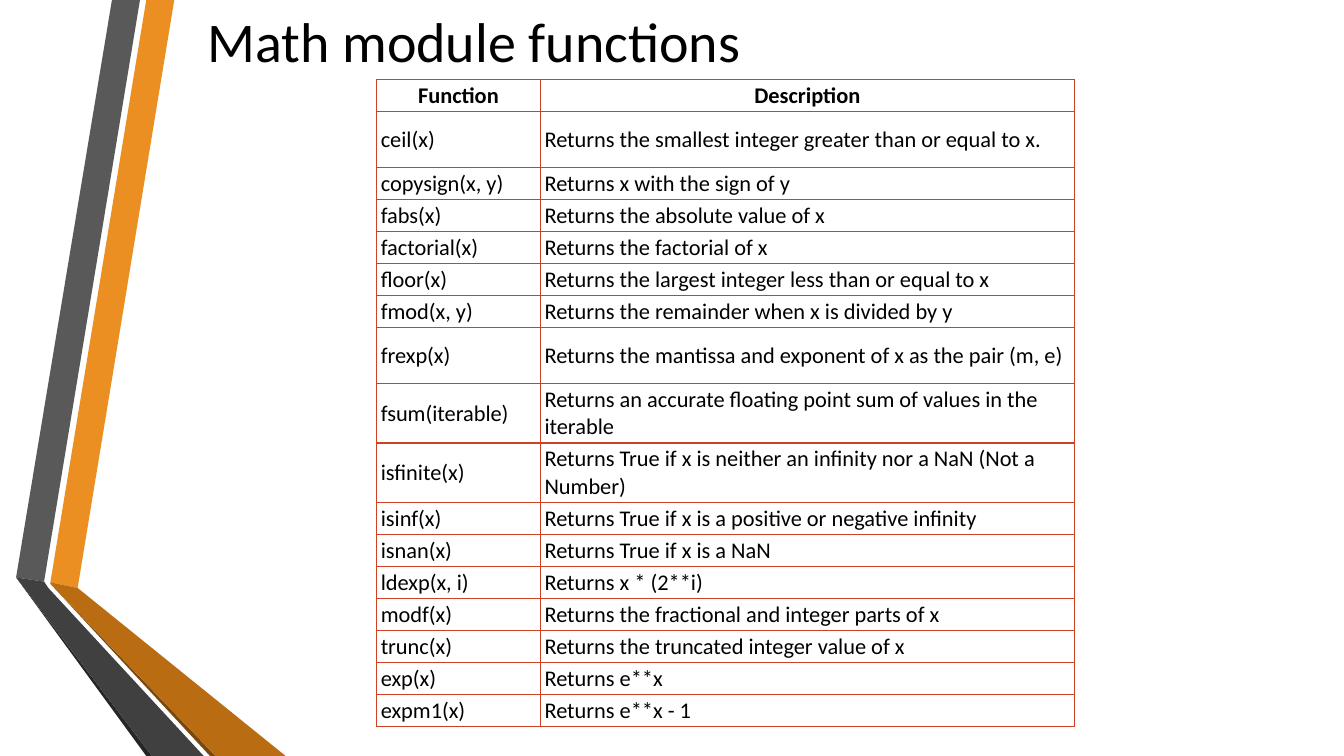
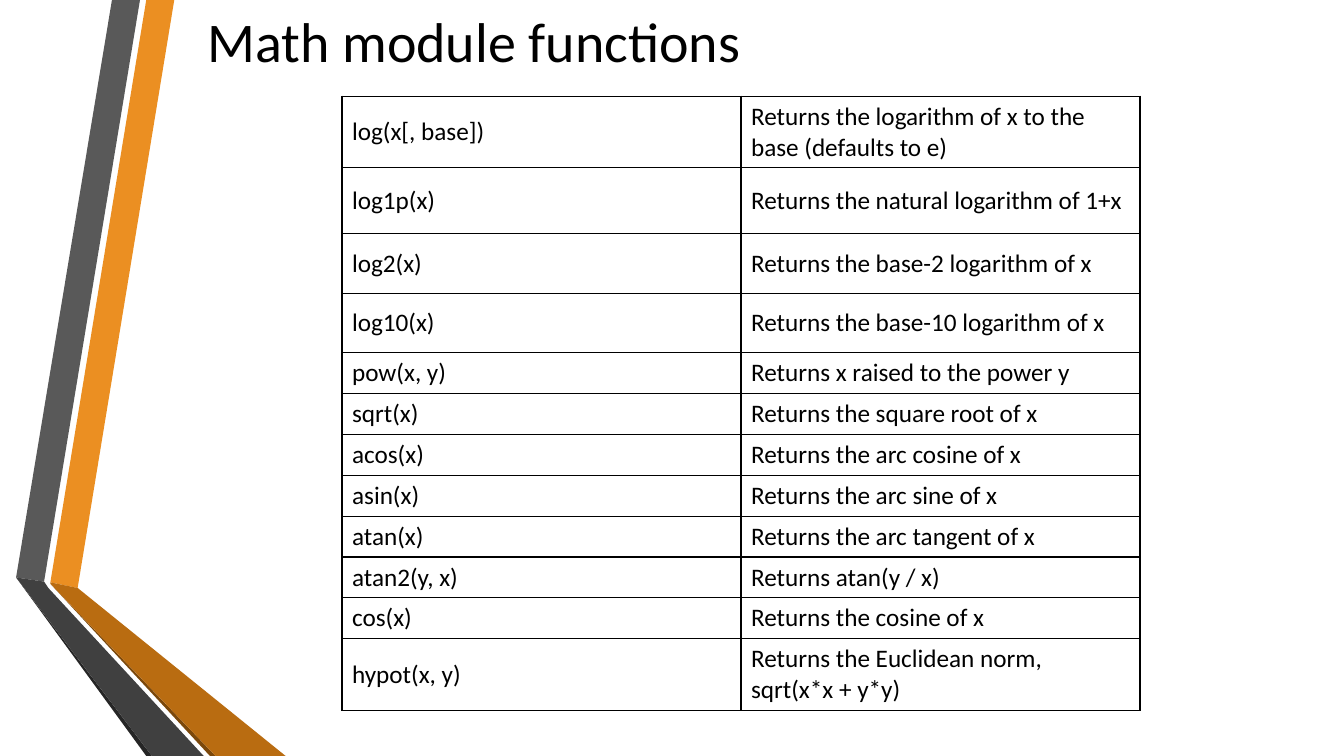
from pptx import Presentation
from pptx.dml.color import RGBColor
from pptx.enum import text as t
from pptx.oxml import parse_xml
from pptx.oxml.ns import nsdecls
from pptx.util import Pt

FONT = "Calibri"
HEX = {
    "ink": "000000",
    "rule": "CD4223",
    "orange": "EB8F22",
    "gray": "595959",
    "black": "262626",
    "brown": "7B480B",
    "amber": "B96C11",
    "coal": "404040",
}
BANDS = [
    ("orange", [(36, 416), (55.5, 420), (124.5, 0), (104.5, 0)]),
    ("gray", [(100, 0), (80, 0), (11.5, 412.5), (31.5, 415.5)]),
    ("black", [(11.5, 412.5), (104.5, 540), (108.5, 540)]),
    ("brown", [(36, 417), (150, 540), (154, 540)]),
    ("amber", [(36, 416), (36, 417), (154, 540), (204, 540), (55.5, 420)]),
    ("coal", [(145.5, 540), (34.5, 420), (31.5, 415.5), (11.5, 412.5), (108.5, 540)]),
]
TITLE = "Math module functions"
BASIC = [
    ("Function", "Description"),
    ("ceil(x)", "Returns the smallest integer greater than or equal to x."),
    ("copysign(x, y)", "Returns x with the sign of y"),
    ("fabs(x)", "Returns the absolute value of x"),
    ("factorial(x)", "Returns the factorial of x"),
    ("floor(x)", "Returns the largest integer less than or equal to x"),
    ("fmod(x, y)", "Returns the remainder when x is divided by y"),
    ("frexp(x)", "Returns the mantissa and exponent of x as the pair (m, e)"),
    ("fsum(iterable)", "Returns an accurate floating point sum of values in the iterable"),
    ("isfinite(x)", "Returns True if x is neither an infinity nor a NaN (Not a Number)"),
    ("isinf(x)", "Returns True if x is a positive or negative infinity"),
    ("isnan(x)", "Returns True if x is a NaN"),
    ("ldexp(x, i)", "Returns x * (2**i)"),
    ("modf(x)", "Returns the fractional and integer parts of x"),
    ("trunc(x)", "Returns the truncated integer value of x"),
    ("exp(x)", "Returns e**x"),
    ("expm1(x)", "Returns e**x - 1"),
]
LOGS = [
    ("log(x[, base])", "Returns the logarithm of x to the base (defaults to e)"),
    ("log1p(x)", "Returns the natural logarithm of 1+x"),
    ("log2(x)", "Returns the base-2 logarithm of x"),
    ("log10(x)", "Returns the base-10 logarithm of x"),
    ("pow(x, y)", "Returns x raised to the power y"),
    ("sqrt(x)", "Returns the square root of x"),
    ("acos(x)", "Returns the arc cosine of x"),
    ("asin(x)", "Returns the arc sine of x"),
    ("atan(x)", "Returns the arc tangent of x"),
    ("atan2(y, x)", "Returns atan(y / x)"),
    ("cos(x)", "Returns the cosine of x"),
    ("hypot(x, y)", "Returns the Euclidean norm, sqrt(x*x + y*y)"),
]


def color(name):
    return RGBColor.from_string(HEX[name])


def style(para, size, bold=False):
    para.font.name = FONT
    para.font.size = Pt(size)
    para.font.bold = bold
    para.font.color.rgb = color("ink")


def add_bands(slide):
    tree = slide.slide_layout.shapes.element
    for i, (name, spots) in enumerate(BANDS):
        first, *rest = [(Pt(x), Pt(y)) for x, y in spots]
        pen = slide.shapes.build_freeform(*first)
        pen.add_line_segments(rest, close=True)
        band = pen.convert_to_shape()
        band.shadow.inherit = False
        band.fill.solid()
        band.fill.fore_color.rgb = color(name)
        band.line.fill.background()
        band.element.xpath(".//p:cNvPr")[0].set("id", str(100 + i))
        tree.insert(2 + i, band.element)


def add_title(slide, box):
    title = slide.shapes.title
    title.left, title.top, title.width, title.height = map(Pt, box)
    frame = title.text_frame
    frame.text = TITLE
    frame.auto_size = t.MSO_AUTO_SIZE.NONE
    frame.vertical_anchor = t.MSO_ANCHOR.MIDDLE
    para = frame.paragraphs[0]
    para.alignment = t.PP_ALIGN.CENTER
    style(para, 40)


def set_edges(cell, name):
    props = cell._tc.get_or_add_tcPr()
    for side in "LRTB":
        props.append(parse_xml(
            f'<a:ln{side} {nsdecls("a")} w="12700"><a:solidFill>'
            f'<a:srgbClr val="{HEX[name]}"/></a:solidFill></a:ln{side}>'))


def add_grid(slide, spot, rows, cols, highs, size, edge, head=False, pad=None):
    box = [*spot, sum(cols), sum(highs)]
    grid = slide.shapes.add_table(len(rows), len(cols), *map(Pt, box)).table
    grid.first_row = head
    grid.horz_banding = False
    for col, wide in zip(grid.columns, cols):
        col.width = Pt(wide)
    for r, (row, high) in enumerate(zip(rows, highs)):
        grid.rows[r].height = Pt(high)
        top = head and r == 0
        for c, word in enumerate(row):
            cell = grid.cell(r, c)
            cell.text = word
            cell.vertical_anchor = t.MSO_ANCHOR.MIDDLE
            if pad:
                cell.margin_left = cell.margin_right = Pt(pad[0])
                cell.margin_top = cell.margin_bottom = Pt(pad[1])
            set_edges(cell, edge)
            cell.fill.background()
            para = cell.text_frame.paragraphs[0]
            para.alignment = t.PP_ALIGN.CENTER if top else t.PP_ALIGN.LEFT
            style(para, size, top)


def add_page(deck):
    slide = deck.slides.add_slide(deck.slide_layouts[5])
    add_title(slide, (0, 0, 677, 57))
    return slide


def main():
    deck = Presentation()
    deck.slide_width, deck.slide_height = Pt(960), Pt(540)

    page = add_page(deck)
    add_bands(page)
    tall = {1, 7, 8, 9}
    highs = [40 if r in tall else 21.6 for r in range(len(BASIC))]
    add_grid(page, (269, 56.8), BASIC, (117, 381.5), highs, 16, "rule",
             head=True, pad=(3, 1.65))

    page = add_page(deck)
    highs = [50.6, 47, 42.5, 42.5] + [29.1] * 7 + [50.6]
    add_grid(page, (244.3, 68.7), LOGS, (285, 285), highs, 18, "ink")

    deck.save("out.pptx")


if __name__ == "__main__":
    main()
